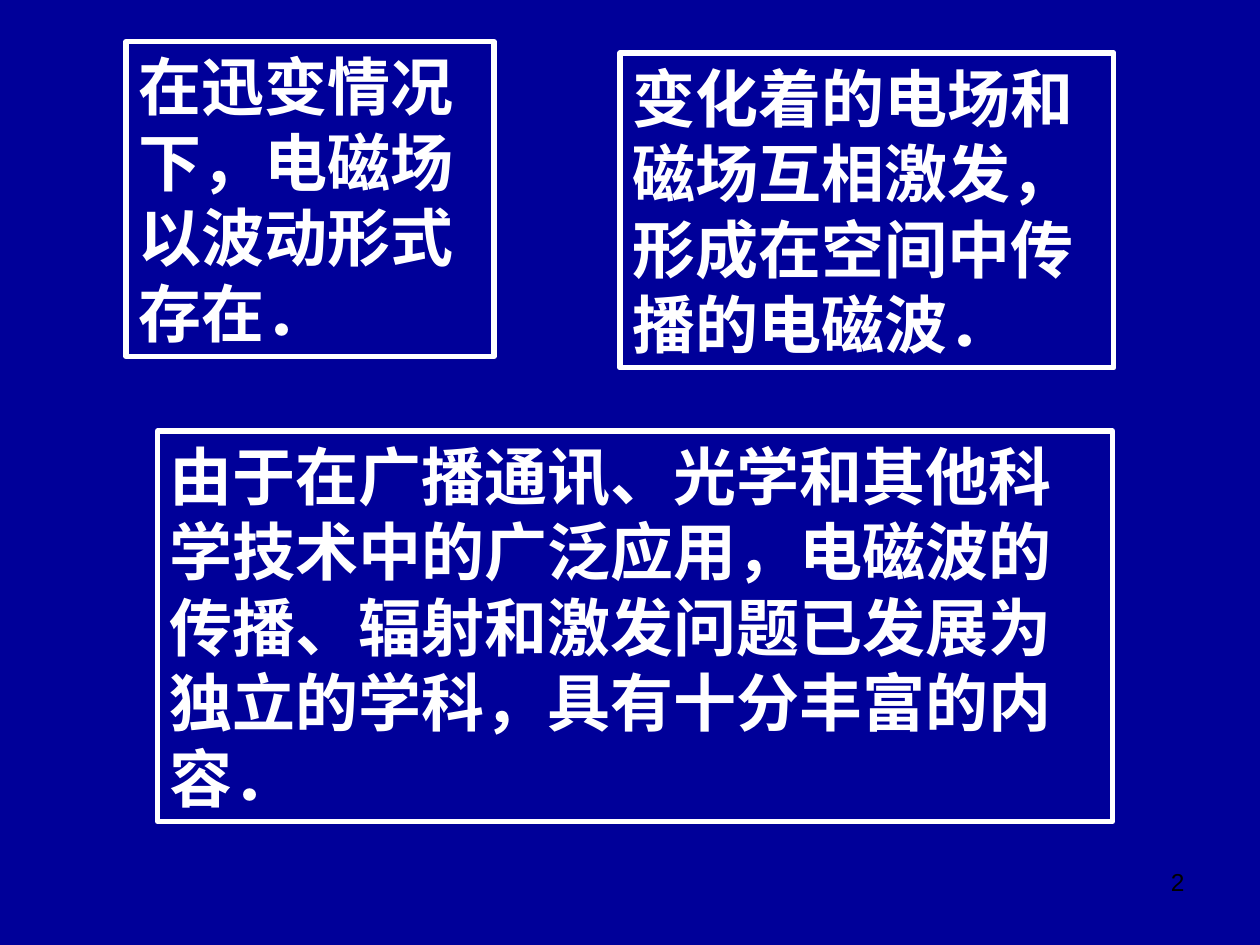
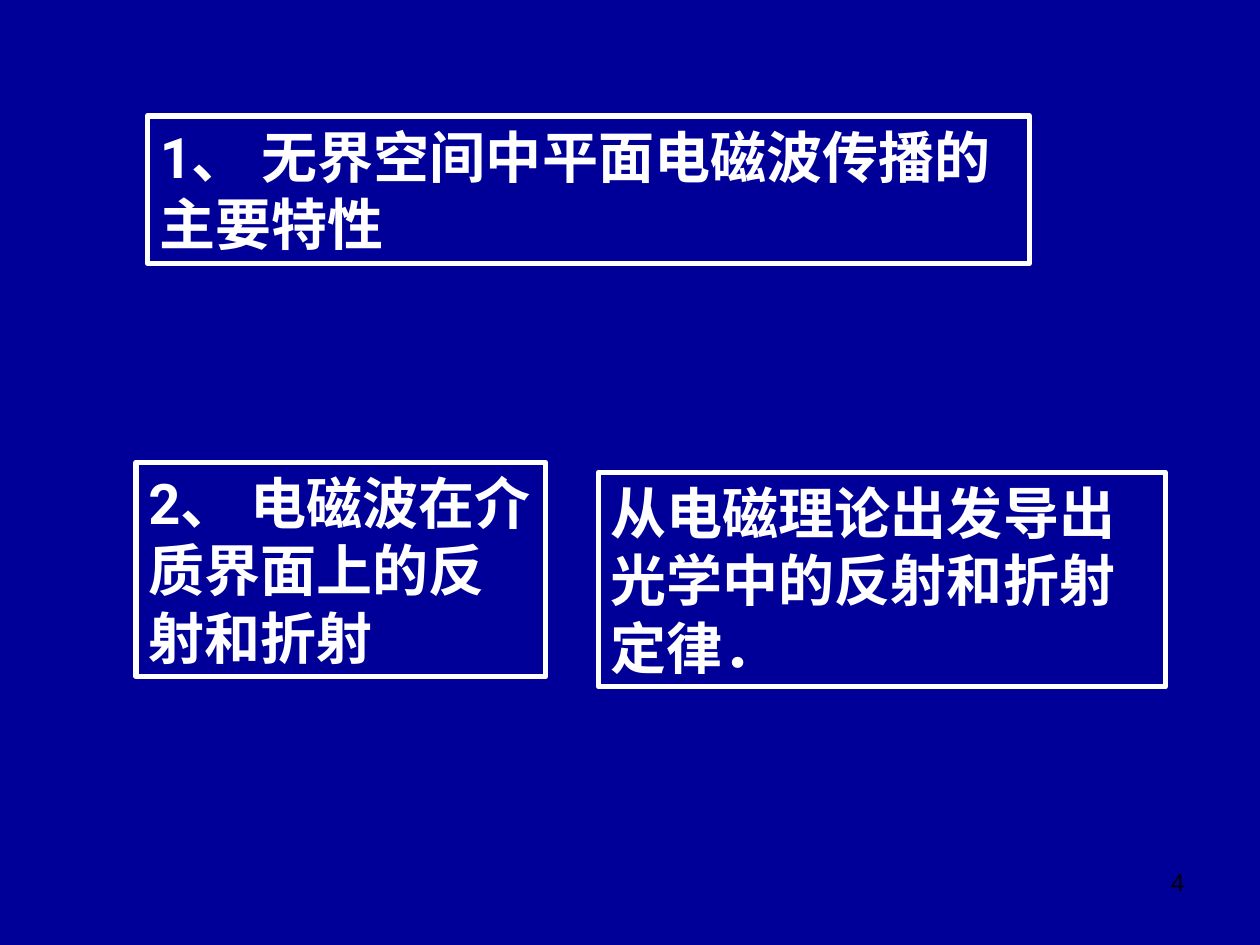
from dataclasses import dataclass

from lxml import etree
from pptx import Presentation
from pptx.dml.color import RGBColor
from pptx.enum.shapes import MSO_SHAPE
from pptx.enum.text import MSO_ANCHOR, MSO_AUTO_SIZE, PP_ALIGN
from pptx.oxml.ns import qn
from pptx.util import Inches, Pt

NAVY = RGBColor(0x00, 0x00, 0x99)
WHITE = RGBColor(0xFF, 0xFF, 0xFF)
BLACK = RGBColor(0x00, 0x00, 0x00)

RECT = MSO_SHAPE.RECTANGLE
TOP = MSO_ANCHOR.TOP
GROW = MSO_AUTO_SIZE.SHAPE_TO_FIT_TEXT
LEFT, RIGHT = PP_ALIGN.LEFT, PP_ALIGN.RIGHT

BODY_FONT = {"name": "Roboto", "bold": True}
NUMBER_FONT = {"name": "Arial", "size": Pt(14)}


@dataclass
class Frame:
    """Outlined statement; lengths in inches."""
    left: float
    top: float
    width: float
    height: float
    text: str


@dataclass
class Page:
    number: int
    size: int
    frames: list[Frame]


PAGES = [
    Page(2, 36, [
        Frame(1, 0.33, 2.92, 2.5, "在迅变情况下，电磁场以波动形式存在．"),
        Frame(1.25, 3.42, 7.58, 3.1,
              "由于在广播通讯、光学和其他科学技术中的广泛应用，电磁波的传播、"
              "辐射和激发问题已发展为独立的学科，具有十分丰富的内容．"),
        Frame(4.92, 0.42, 3.92, 2.5,
              "变化着的电场和磁场互相激发，形成在空间中传播的电磁波．"),
    ]),
    Page(4, 32, [
        Frame(1.17, 0.92, 7, 1.17, "1、 无界空间中平面电磁波传播的主要特性"),
        Frame(1.08, 3.67, 3.25, 1.7, "2、 电磁波在介质界面上的反射和折射"),
        Frame(4.75, 3.75, 4.5, 1.7,
              "从电磁理论出发导出光学中的反射和折射定律．"),
    ]),
]


def write(tf, text: str, align, color: RGBColor, font: dict) -> None:
    """Put one formatted run into a wrapping text frame."""
    tf.word_wrap = True
    tf.vertical_anchor = TOP
    p = tf.paragraphs[0]
    p.alignment = align
    r = p.add_run()
    r.text = text
    for key, value in font.items():
        setattr(r.font, key, value)
    r.font.color.rgb = color
    # Chinese characters use the same typeface setting
    ea = etree.SubElement(r.font._element, qn("a:ea"))
    ea.set("typeface", font["name"])


def add_frame(s, frame: Frame, size: int) -> None:
    box = map(Inches, (frame.left, frame.top, frame.width, frame.height))
    sp = s.shapes.add_shape(RECT, *box)
    sp.shadow.inherit = False
    sp.fill.background()
    sp.line.color.rgb = WHITE
    sp.line.width = Pt(3)
    write(sp.text_frame, frame.text, LEFT, WHITE, {**BODY_FONT, "size": Pt(size)})
    sp.text_frame.auto_size = GROW


def add_number(s, number: int) -> None:
    sp = s.shapes.add_textbox(Inches(7.17), Inches(6.83), Inches(2.33), Inches(0.52))
    write(sp.text_frame, str(number), RIGHT, BLACK, NUMBER_FONT)


def add_page(prs, page: Page) -> None:
    s = prs.slides.add_slide(prs.slide_layouts[6])
    for frame in page.frames:
        add_frame(s, frame, page.size)
    add_number(s, page.number)


def main() -> None:
    prs = Presentation()
    prs.slide_width, prs.slide_height = Inches(10), Inches(7.5)
    # Shared background
    fill = prs.slide_master.background.fill
    fill.solid()
    fill.fore_color.rgb = NAVY
    for page in PAGES:
        add_page(prs, page)
    prs.save("out.pptx")


if __name__ == "__main__":
    main()
